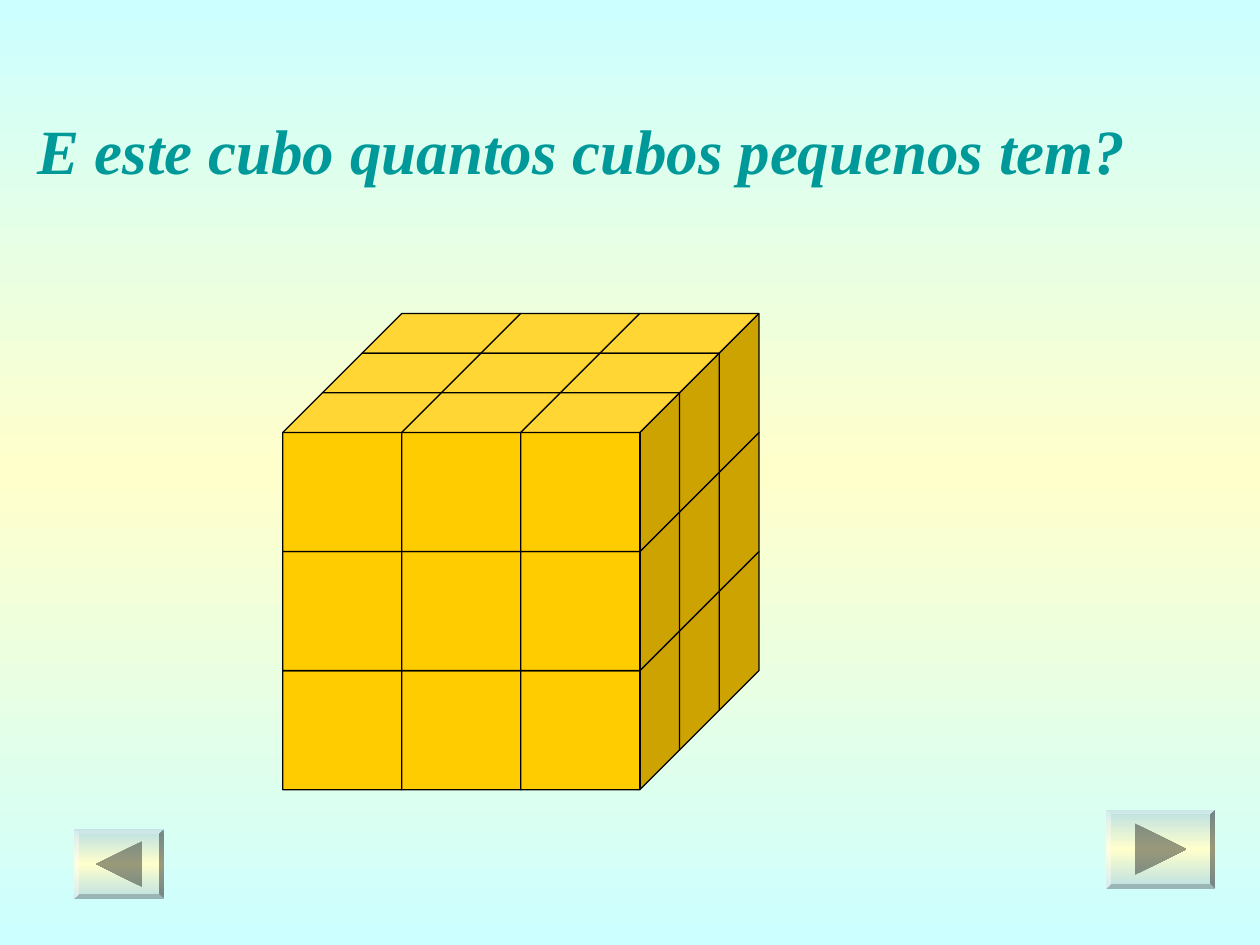
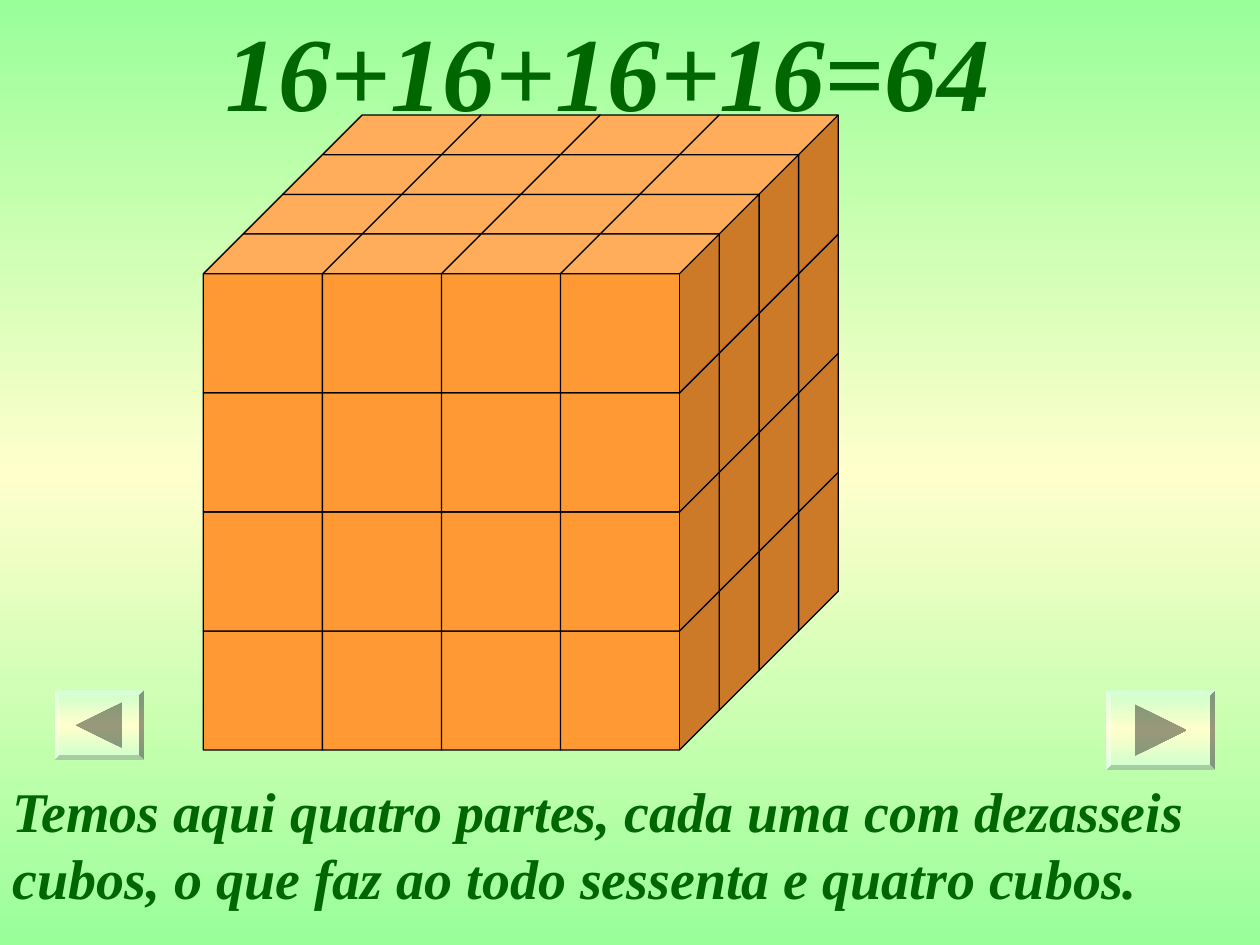
import copy

import pptx
import pptx.dml.color
import pptx.enum.shapes
import pptx.enum.text
import pptx.oxml.ns
import pptx.util

# Shared measures and colours
PX = 7200  # EMU in one px
STEP = 120  # front edge of a small cube
DEPTH = 40  # shift of each row towards the back
BEVEL = 5  # rim of a navigation button
FONT = "Times New Roman"
COLORS = {
    "sky": "CCFFFF",
    "cream": "FFFFCC",
    "meadow": "99FF99",
    "yellow": "FFCC00",
    "orange": "FF9933",
    "teal": "009999",
    "green": "006600",
    "ice": "BBE0E3",
    "mint": "CCFFCC",
    "black": "000000",
}


def rgb(name):
    return pptx.dml.color.RGBColor.from_string(COLORS[name])


def blend(first, second, share):
    mixed = [round(a + (b - a) * share) for a, b in zip(first, second)]
    return pptx.dml.color.RGBColor(*mixed)


def set_gradient(fill, element, colors):
    """Fill from top to bottom with three evenly spaced colours."""
    fill.gradient()
    fill.gradient_angle = 270
    stop_list = element.find(".//" + pptx.oxml.ns.qn("a:gsLst"))
    stop_list.append(copy.deepcopy(stop_list[0]))
    for index, (stop, color) in enumerate(zip(fill.gradient_stops, colors)):
        stop.position = index / 2
        stop.color.rgb = color


def add_slide(presentation, edge):
    slide = presentation.slides.add_slide(presentation.slide_layouts[6])
    colors = [rgb(edge), rgb("cream"), rgb(edge)]
    set_gradient(slide.background.fill, slide.element, colors)
    return slide


def add_text(slide, text, left, top, width, height, *, size, color):
    box = slide.shapes.add_textbox(left * PX, top * PX, width * PX, height * PX)
    frame = box.text_frame
    frame.word_wrap = True
    frame.auto_size = pptx.enum.text.MSO_AUTO_SIZE.SHAPE_TO_FIT_TEXT
    paragraph = frame.paragraphs[0]
    paragraph.space_before = pptx.util.Pt(size * 0.625)
    run = paragraph.add_run()
    run.text = text
    run.font.name = FONT
    run.font.size = pptx.util.Pt(size)
    run.font.bold = run.font.italic = True
    run.font.color.rgb = rgb(color)


def add_small_cube(group, left, top, color):
    side = (STEP + DEPTH) * PX
    shape = group.shapes.add_shape(
        pptx.enum.shapes.MSO_SHAPE.CUBE, left * PX, top * PX, side, side
    )
    shape.adjustments[0] = 0.25
    shape.shadow.inherit = False
    shape.fill.solid()
    shape.fill.fore_color.rgb = rgb(color)
    shape.line.color.rgb = rgb("black")
    shape.line.width = pptx.util.Pt(0.75)


def add_big_cube(slide, left, top, count, color):
    """Stack layers upwards; left and top belong to the front upper left cube."""
    for layer in reversed(range(count)):
        group = slide.shapes.add_group_shape()
        for row in reversed(range(count)):
            for column in range(count):
                # Only cubes on the top, front or right face can be seen
                if layer == 0 or row == 0 or column == count - 1:
                    add_small_cube(
                        group,
                        left + column * STEP + row * DEPTH,
                        top + layer * STEP - row * DEPTH,
                        color,
                    )


def add_button(slide, left, top, width, height, edge, forward):
    """Bevelled navigation button with one gradient running through all parts."""
    right, bottom = left + width, top + height
    outer = [(left, top), (right, top), (right, bottom), (left, bottom)]
    inner = [
        (left + BEVEL, top + BEVEL),
        (right - BEVEL, top + BEVEL),
        (right - BEVEL, bottom - BEVEL),
        (left + BEVEL, bottom - BEVEL),
    ]
    half = round(height * 0.325)
    center_x, center_y = left + width // 2, top + height // 2
    tip = half if forward else -half
    arrow = [
        (center_x - tip, center_y - half),
        (center_x + tip, center_y),
        (center_x - tip, center_y + half),
    ]

    # Positive tints lighten a part, negative ones darken it
    parts = [(outer, 0)]
    for side, tint in enumerate((0.2, -0.4, -0.2, 0.4)):
        after = (side + 1) % 4
        parts.append(([outer[side], outer[after], inner[after], inner[side]], tint))
    parts.append((arrow, -0.4))

    for points, tint in parts:
        builder = slide.shapes.build_freeform(*points[0], scale=PX)
        builder.add_line_segments(points[1:], close=True)
        shape = builder.convert_to_shape()
        shape.shadow.inherit = False
        shape.line.fill.background()
        upper = min(y for _, y in points)
        lower = max(y for _, y in points)
        target = (255, 255, 255) if tint > 0 else (0, 0, 0)
        colors = []
        for y in (upper, (upper + lower) / 2, lower):
            nearness = 1 - abs(2 * (y - top) / height - 1)
            base = blend(rgb(edge), rgb("cream"), nearness)
            colors.append(blend(base, target, abs(tint)))
        set_gradient(shape.fill, shape.element, colors)


def add_navigation(slide, edge, next_top, previous_left, previous_top):
    add_button(slide, 1115, next_top, 110, 80, edge, forward=True)
    add_button(slide, previous_left, previous_top, 90, 70, edge, forward=False)


def main():
    presentation = pptx.Presentation()
    presentation.slide_width = pptx.util.Inches(10)
    presentation.slide_height = pptx.util.Inches(7.5)

    # Question: cube of three by three by three
    slide = add_slide(presentation, "sky")
    add_big_cube(slide, 285, 396, 3, "yellow")
    add_text(slide, "E este cubo quantos cubos pequenos tem?",
             25, 106, 1200, 89, size=36, color="teal")
    add_navigation(slide, "ice", 816, 75, 836)

    # Answer: cube of four by four by four
    slide = add_slide(presentation, "meadow")
    add_big_cube(slide, 205, 236, 4, "orange")
    add_text(slide, "Temos aqui quatro partes, cada uma com dezasseis cubos, "
             "o que faz ao todo sessenta e quatro cubos.",
             0, 776, 1215, 149, size=32, color="green")
    add_text(slide, "16+16+16+16=64", 215, 0, 930, 140, size=60, color="green")
    add_navigation(slide, "mint", 696, 55, 696)

    presentation.save("out.pptx")


if __name__ == "__main__":
    main()
